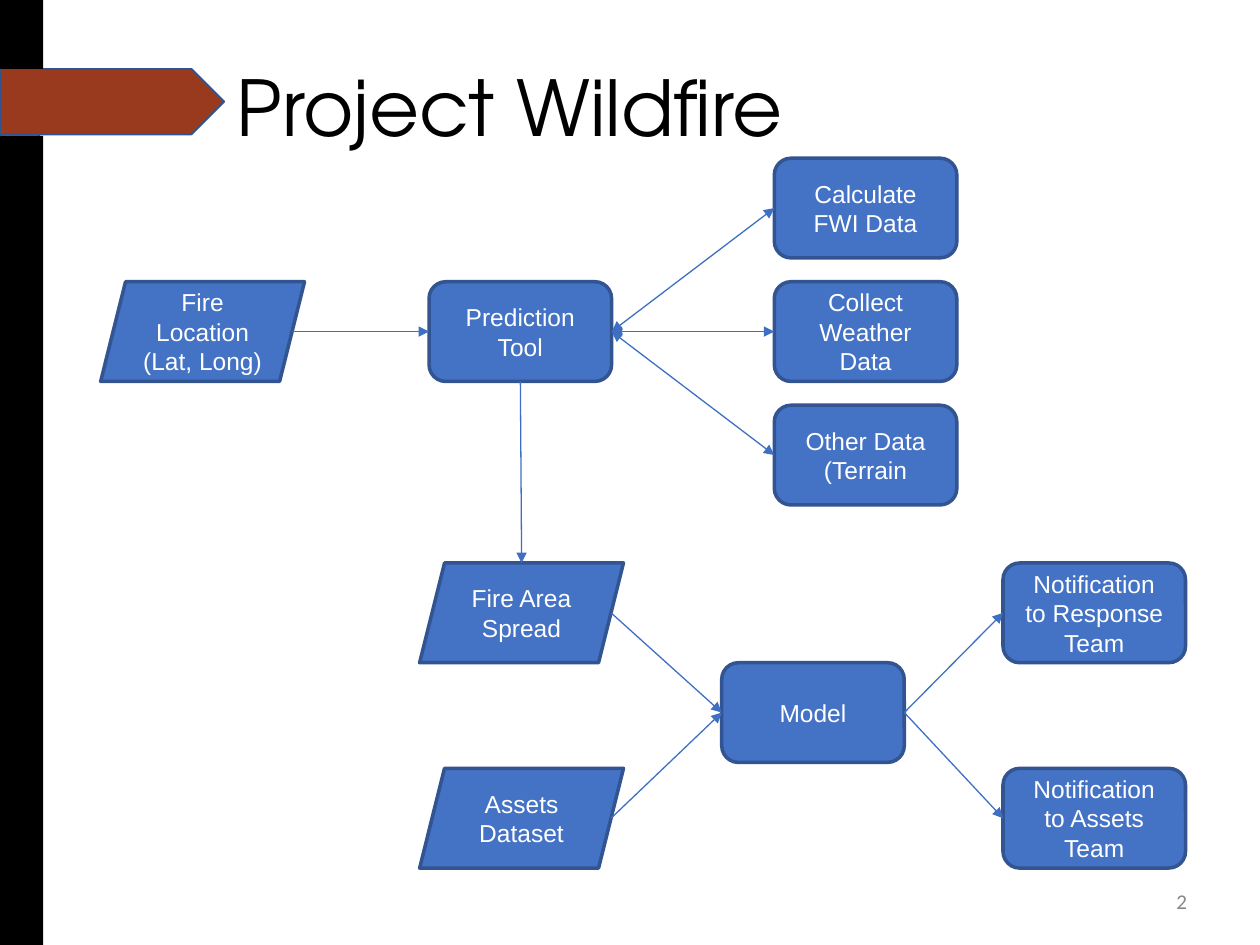
from pptx import Presentation
from pptx.dml.color import RGBColor
from pptx.enum.shapes import MSO_CONNECTOR, MSO_SHAPE as SHAPE
from pptx.enum.text import MSO_ANCHOR, PP_ALIGN as ALIGN
from pptx.oxml.ns import qn
from pptx.util import Cm, Pt
from lxml.etree import SubElement

BOX_W, SLANTED_W, NODE_H = 3.68, 4.11, 2.01
SLANT = 0.25


def rgb(code):
    return RGBColor.from_string(code)


def write(shape, text, font="Arial", size=14, color="FFFFFF", align=ALIGN.CENTER, spacing=None):
    tf = shape.text_frame
    tf.word_wrap = True
    tf.vertical_anchor = MSO_ANCHOR.MIDDLE
    p = tf.paragraphs[0]
    p.alignment = align
    p.line_spacing = spacing
    r = p.add_run()
    r.text = text
    r.font.name, r.font.size = font, Pt(size)
    r.font.color.rgb = rgb(color)


def side(shape, name):
    """Return the middle point of a node's left, right, top or bottom side."""
    x, y, w, h = shape.left, shape.top, shape.width, shape.height
    inset = int(h * SLANT / 2) if shape.auto_shape_type == SHAPE.PARALLELOGRAM else 0
    return {
        "left": (x + inset, y + h // 2),
        "right": (x + w - inset, y + h // 2),
        "top": (x + w // 2, y),
        "bottom": (x + w // 2, y + h),
    }[name]


class Flowchart:
    fill, outline, arrow_color = "4472C4", "325491", "3F6FC3"

    def __init__(self, s):
        self.s = s

    def block(self, kind, x, y, w, h, fill, line=None, line_width=1):
        sp = self.s.shapes.add_shape(kind, Cm(x), Cm(y), Cm(w), Cm(h))
        sp.shadow.inherit = False
        sp.fill.solid()
        sp.fill.fore_color.rgb = rgb(fill)
        if line:
            sp.line.color.rgb = rgb(line)
            sp.line.width = Pt(line_width)
        else:
            sp.line.fill.background()
        return sp

    def label(self, text, x, y, w, h, **style):
        sp = self.s.shapes.add_textbox(Cm(x), Cm(y), Cm(w), Cm(h))
        write(sp, text, **style)

    def process(self, text, x, y):
        return self.node(SHAPE.ROUNDED_RECTANGLE, text, x, y, BOX_W)

    def data(self, text, x, y):
        return self.node(SHAPE.PARALLELOGRAM, text, x, y, SLANTED_W)

    def node(self, kind, text, x, y, w):
        sp = self.block(kind, x, y, w, NODE_H, self.fill, self.outline, 2)
        write(sp, text)
        return sp

    def arrow(self, start, end, sides=("right", "left"), both=False):
        c = self.s.shapes.add_connector(
            MSO_CONNECTOR.STRAIGHT, *side(start, sides[0]), *side(end, sides[1]))
        c.line.color.rgb = rgb(self.arrow_color)
        c.line.width = Pt(0.75)
        ln = c.line._get_or_add_ln()
        for tag in ("a:headEnd", "a:tailEnd") if both else ("a:tailEnd",):
            SubElement(ln, qn(tag), type="triangle")
        SubElement(c._element.spPr, qn("a:effectLst"))


def main():
    prs = Presentation()
    prs.slide_width, prs.slide_height = Cm(25.4), Cm(19.05)
    chart = Flowchart(prs.slides.add_slide(prs.slide_layouts[6]))

    chart.block(SHAPE.RECTANGLE, 0, 0, 0.79, 19.05, "756F57", "31538F")
    chart.block(SHAPE.PENTAGON, 0, 1.39, 4.52, 1.32, "99391E", "31538F")
    for y, h in ((2.74, 16.31), (0, 1.39)):
        chart.block(SHAPE.RECTANGLE, 0, y, 0.87, h, "000000")
    chart.label("Project Wildfire", 4.52, 0.41, 20.04, 3.68, font="TeX Gyre Adventor",
                size=44, color="000000", align=ALIGN.LEFT, spacing=0.9)
    chart.label("2", 18.47, 17.65, 5.71, 1.02, font="Calibri",
                size=12, color="888888", align=ALIGN.RIGHT)

    input_y, spread_y, assets_y = 5.68, 11.35, 15.49
    location = chart.data("Fire Location (Lat, Long)", 2.03, input_y)
    tool = chart.process("Prediction Tool", 8.65, input_y)
    spread = chart.data("Fire Area Spread", 8.46, spread_y)
    assets = chart.data("Assets Dataset", 8.46, assets_y)
    model = chart.process("Model", 14.55, 13.36)

    chart.arrow(location, tool)
    chart.arrow(tool, spread, ("bottom", "top"))
    for source in (spread, assets):
        chart.arrow(source, model)
    for team, y in (("Response", spread_y), ("Assets", assets_y)):
        chart.arrow(model, chart.process(f"Notification to {team} Team", 20.22, y))
    sources = ("Calculate FWI Data", "Collect Weather Data", "Other Data (Terrain")
    for row, text in enumerate(sources, start=-1):
        chart.arrow(tool, chart.process(text, 15.61, input_y + row * 2.49), both=True)

    prs.save("out.pptx")


if __name__ == "__main__":
    main()
